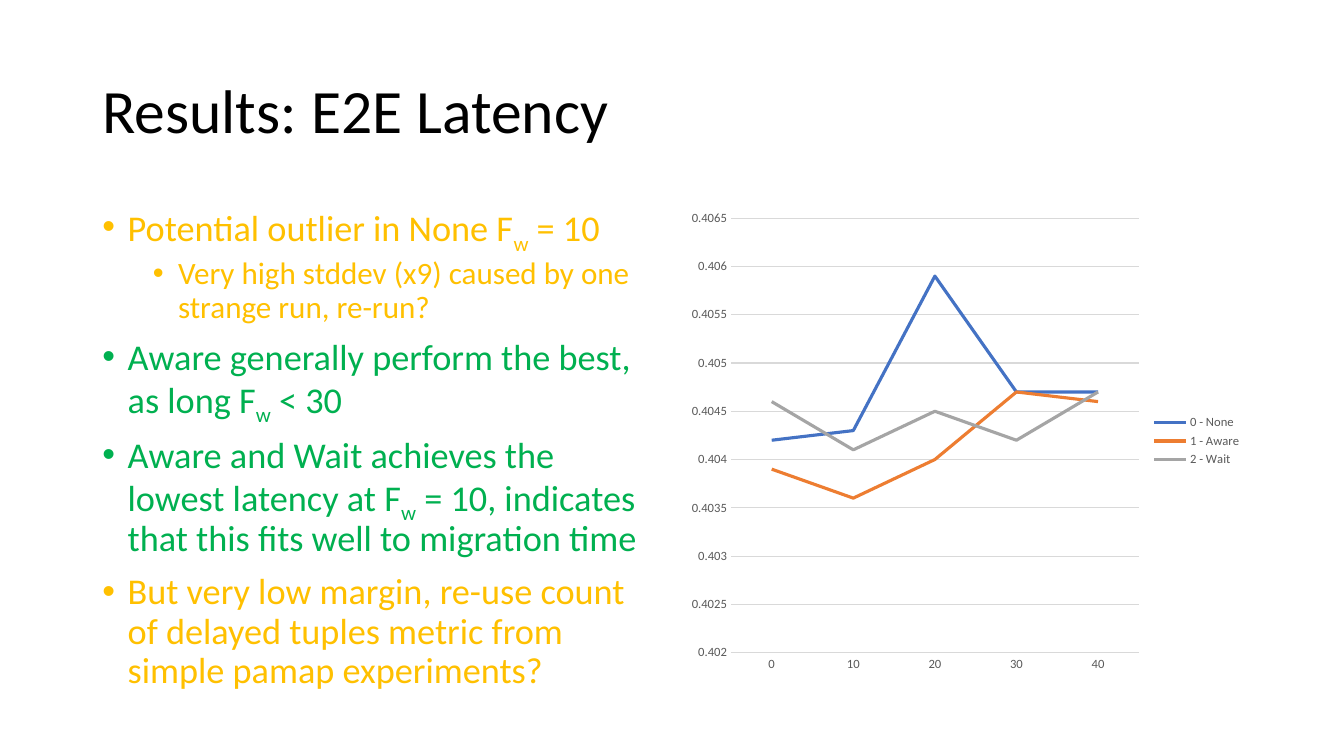
from lxml import etree
from pptx import Presentation
from pptx.chart.data import CategoryChartData
from pptx.dml.color import RGBColor
from pptx.enum.chart import XL_CHART_TYPE as ChartType, XL_LEGEND_POSITION as LegendPosition
from pptx.enum.chart import XL_MARKER_STYLE as MarkerStyle, XL_TICK_MARK as TickMark
from pptx.enum.text import MSO_ANCHOR as Anchor, MSO_AUTO_SIZE as AutoSize, PP_ALIGN as Align
from pptx.oxml.ns import qn
from pptx.util import Pt

AMBER, GREEN = "FFC000", "00B050"
BLACK, AXIS_TEXT, GRID = "000000", "595959", "D9D9D9"

# Level, colour, then text pieces; every second piece is a subscript.
FINDINGS = [
    (0, AMBER, ["Potential outlier in None F", "w", " = 10"]),
    (1, AMBER, ["Very high stddev (x9) caused by one strange run, re-run?"]),
    (0, GREEN, ["Aware generally perform the best, as long F", "w", " < 30"]),
    (0, GREEN, ["Aware and Wait achieves the lowest latency at F", "w",
                " = 10, indicates that this fits well to migration time"]),
    (0, AMBER, ["But very low margin, re-use count of delayed tuples metric "
                "from simple pamap experiments?"]),
]
# Size, space before and left indent for each level.
LEVELS = [(25.9, 10, 18), (22.2, 5, 54)]

WAITING_FACTORS = ["0", "10", "20", "30", "40"]
LATENCIES = [
    ("0 - None", "4472C4", [0.4042, 0.4043, 0.4059, 0.4047, 0.4047]),
    ("1 - Aware", "ED7D31", [0.4039, 0.4036, 0.404, 0.4047, 0.4046]),
    ("2 - Wait", "A5A5A5", [0.4046, 0.4041, 0.4045, 0.4042, 0.4047]),
]


def color(hex_string):
    return RGBColor.from_string(hex_string)


class SlideBuilder:
    font_name = "Calibri"

    def __init__(self, slide):
        self.slide = slide

    def style_font(self, font, size, hex_string):
        font.name = self.font_name
        font.size = Pt(size)
        font.color.rgb = color(hex_string)

    def style_line(self, line, hex_string, width):
        line.color.rgb = color(hex_string)
        line.width = Pt(width)

    def place(self, shape, left, top, width, height):
        shape.left, shape.top = Pt(left), Pt(top)
        shape.width, shape.height = Pt(width), Pt(height)
        shape.text_frame.word_wrap = True
        shape.text_frame.auto_size = AutoSize.NONE

    def title(self, text, *box):
        shape = self.slide.shapes.title
        self.place(shape, *box)
        shape.text_frame.vertical_anchor = Anchor.MIDDLE
        paragraph = shape.text_frame.paragraphs[0]
        paragraph.text = text
        paragraph.alignment = Align.LEFT
        paragraph.line_spacing = 0.9
        self.style_font(paragraph.font, 44, BLACK)

    def bullets(self, items, *box):
        shape = self.slide.placeholders[1]
        self.place(shape, *box)
        frame = shape.text_frame
        for number, (level, hex_string, pieces) in enumerate(items):
            paragraph = frame.add_paragraph() if number else frame.paragraphs[0]
            size, space_before, indent = LEVELS[level]
            paragraph.level = level
            paragraph.line_spacing = 0.9
            paragraph.space_before = Pt(space_before)
            self.style_font(paragraph.font, size, hex_string)
            self.add_bullet(paragraph, indent)
            for position, piece in enumerate(pieces):
                run = paragraph.add_run()
                run.text = piece
                if position % 2:
                    run._r.get_or_add_rPr().set("baseline", "-25000")

    def add_bullet(self, paragraph, indent):
        properties = paragraph._p.get_or_add_pPr()
        properties.set("marL", str(Pt(indent)))
        properties.set("indent", str(-Pt(18)))
        bullet_font = etree.Element(qn("a:buFont"), typeface="Arial")
        bullet = etree.Element(qn("a:buChar"), char="•")
        default_font = properties.find(qn("a:defRPr"))
        default_font.addprevious(bullet_font)
        default_font.addprevious(bullet)

    def line_chart(self, categories, series_rows, *box):
        data = CategoryChartData()
        data.categories = categories
        for name, _, values in series_rows:
            data.add_series(name, values)
        lengths = [Pt(length) for length in box]
        chart = self.slide.shapes.add_chart(ChartType.LINE, *lengths, data).chart
        self.style_font(chart.font, 10, BLACK)
        chart.has_title = False
        chart.has_legend = True
        chart.legend.position = LegendPosition.RIGHT
        chart.legend.include_in_layout = False
        self.style_font(chart.legend.font, 9, AXIS_TEXT)
        chart.plots[0].vary_by_categories = False
        for series, (_, hex_string, _) in zip(chart.plots[0].series, series_rows):
            series.smooth = False
            series.marker.style = MarkerStyle.NONE
            self.style_line(series.format.line, hex_string, 2.25)
        self.style_axes(chart.category_axis, chart.value_axis)

    def style_axes(self, category_axis, value_axis):
        for axis in (category_axis, value_axis):
            axis.major_tick_mark = axis.minor_tick_mark = TickMark.NONE
            self.style_font(axis.tick_labels.font, 9, AXIS_TEXT)
        self.style_line(category_axis.format.line, GRID, 0.75)
        value_axis.format.line.fill.background()
        value_axis.has_major_gridlines = True
        self.style_line(value_axis.major_gridlines.format.line, GRID, 0.75)
        value_axis.minimum_scale = 0.402
        value_axis.maximum_scale = 0.4065
        value_axis.major_unit = 0.0005


def main():
    presentation = Presentation()
    presentation.slide_width, presentation.slide_height = Pt(960), Pt(540)
    slide = presentation.slides.add_slide(presentation.slide_layouts[1])
    builder = SlideBuilder(slide)
    builder.title("Results: E2E Latency", 66, 28.75, 828, 104.38)
    builder.bullets(FINDINGS, 66, 143.75, 408, 342.63)
    builder.line_chart(WAITING_FACTORS, LATENCIES, 486, 143.75, 408, 342.63)
    presentation.save("out.pptx")


if __name__ == "__main__":
    main()
